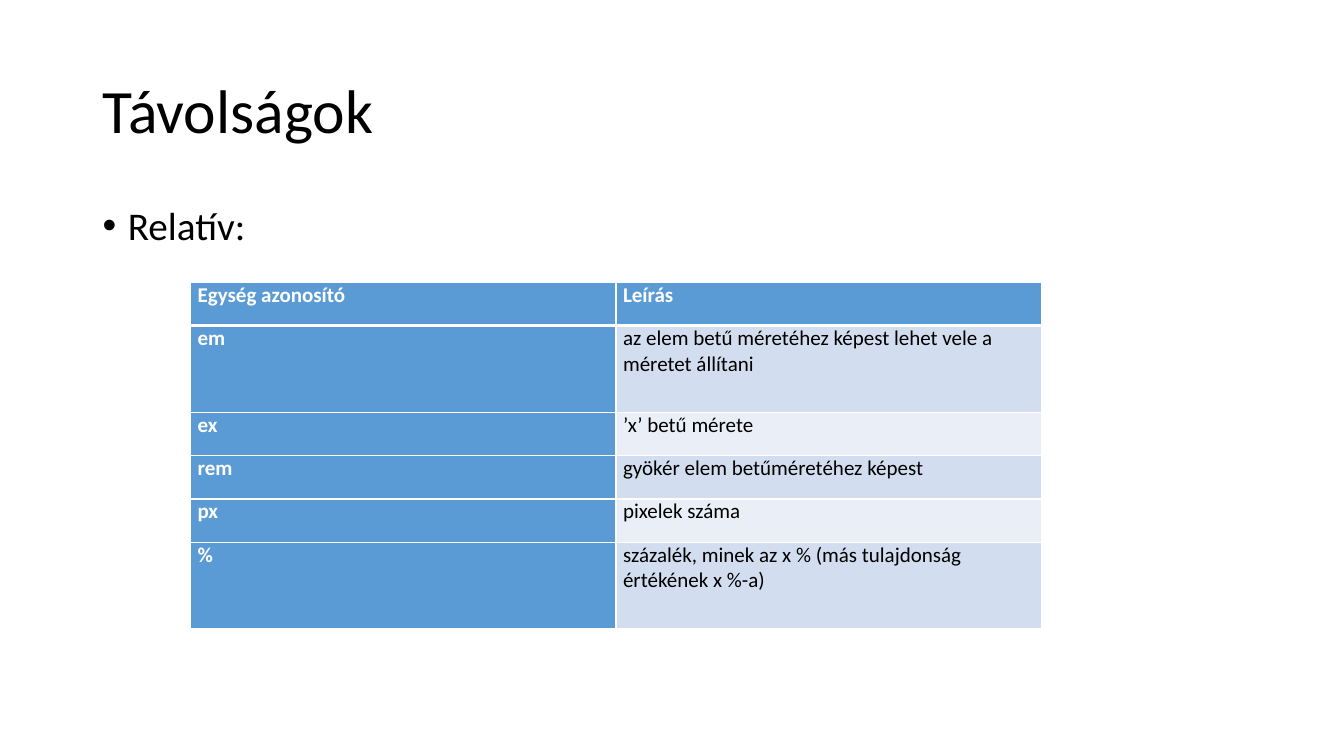
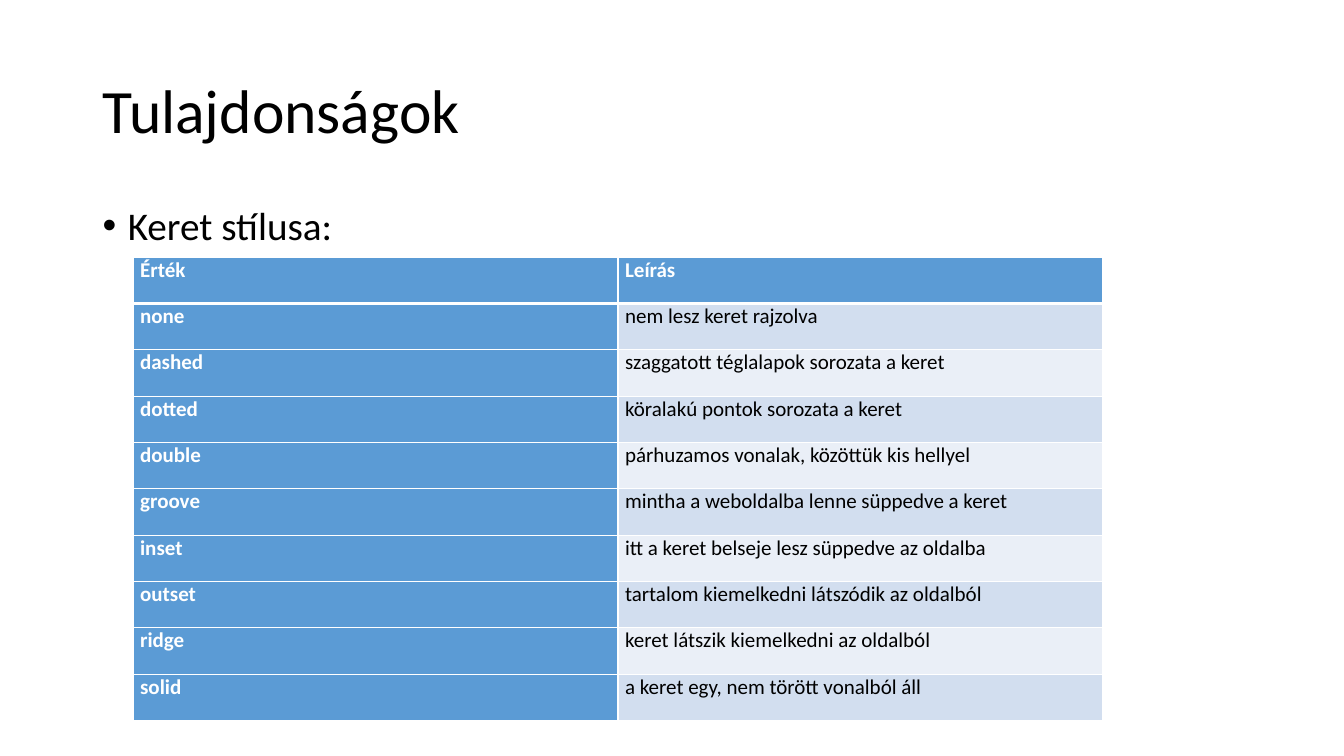
import dataclasses

import lxml.etree
import pptx
import pptx.dml.color
import pptx.enum.text
import pptx.oxml.ns
import pptx.util

Inches = pptx.util.Inches


@dataclasses.dataclass(frozen=True)
class Theme:
    font: str = "Calibri"
    ink: str = "000000"
    paper: str = "FFFFFF"
    accent: str = "5B9BD5"
    bands: tuple = ("D2DEEF", "EAEFF7")
    title_size: int = 44
    bullet_size: int = 28
    cell_size: int = 15
    thin_line: int = 1
    header_line: int = 3


THEME = Theme()
LEFT, CONTENT_WIDTH = 0.92, 11.5

UNITS = [
    ("Egység azonosító", "Leírás"),
    ("em", "az elem betű méretéhez képest lehet vele a méretet állítani"),
    ("ex", "’x’ betű mérete"),
    ("rem", "gyökér elem betűméretéhez képest"),
    ("px", "pixelek száma"),
    ("%", "százalék, minek az x % (más tulajdonság értékének x %-a)"),
]

BORDER_STYLES = [
    ("Érték", "Leírás"),
    ("none", "nem lesz keret rajzolva"),
    ("dashed", "szaggatott téglalapok sorozata a keret"),
    ("dotted", "köralakú pontok sorozata a keret"),
    ("double", "párhuzamos vonalak, közöttük kis hellyel"),
    ("groove", "mintha a weboldalba lenne süppedve a keret"),
    ("inset", "itt a keret belseje lesz süppedve az oldalba"),
    ("outset", "tartalom kiemelkedni látszódik az oldalból"),
    ("ridge", "keret látszik kiemelkedni az oldalból"),
    ("solid", "a keret egy, nem törött vonalból áll"),
]


def apply(target, formats):
    """Set each named attribute of the target."""
    for name, value in formats.items():
        setattr(target, name, value)


def add_xml(parent, tag, **attributes):
    """Append a DrawingML element."""
    return lxml.etree.SubElement(parent, pptx.oxml.ns.qn(tag), attributes)


def write(para, text, size, color, bold=False):
    span = para.add_run()
    span.text = text
    apply(span.font, {"name": THEME.font, "size": pptx.util.Pt(size), "bold": bold})
    span.font.color.rgb = pptx.dml.color.RGBColor.from_string(color)


def set_frame(frame, anchor):
    apply(frame, {
        "word_wrap": True,
        "auto_size": pptx.enum.text.MSO_AUTO_SIZE.NONE,
        "vertical_anchor": anchor,
    })


def set_title(page, text):
    box = page.shapes.title
    apply(box, {
        "left": Inches(LEFT), "top": Inches(0.4),
        "width": Inches(CONTENT_WIDTH), "height": Inches(1.45),
    })
    set_frame(box.text_frame, pptx.enum.text.MSO_ANCHOR.MIDDLE)
    para = box.text_frame.paragraphs[0]
    apply(para, {"alignment": pptx.enum.text.PP_ALIGN.LEFT, "line_spacing": 0.9})
    write(para, text, THEME.title_size, THEME.ink)


def add_bullet(page, text):
    box = page.shapes.add_textbox(
        Inches(LEFT), Inches(2), Inches(CONTENT_WIDTH), Inches(4.76))
    set_frame(box.text_frame, pptx.enum.text.MSO_ANCHOR.TOP)
    para = box.text_frame.paragraphs[0]
    apply(para, {"line_spacing": 0.9, "space_before": pptx.util.Pt(10)})
    write(para, text, THEME.bullet_size, THEME.ink)
    # Bullet and hanging indent
    settings = para._p.get_or_add_pPr()
    settings.set("marL", str(Inches(0.25)))
    settings.set("indent", str(Inches(-0.25)))
    add_xml(settings, "a:buFont", typeface="Arial")
    add_xml(settings, "a:buChar", char="•")


def set_borders(cell, row):
    widths = {
        "L": THEME.thin_line,
        "R": THEME.thin_line,
        "T": THEME.header_line if row == 1 else THEME.thin_line,
        "B": THEME.header_line if row == 0 else THEME.thin_line,
    }
    settings = cell._tc.get_or_add_tcPr()
    for side, width in widths.items():
        line = add_xml(settings, f"a:ln{side}", w=str(pptx.util.Pt(width)))
        add_xml(add_xml(line, "a:solidFill"), "a:srgbClr", val=THEME.paper)


def fill_cell(cell, row, column, text):
    heading = row == 0 or column == 0
    apply(cell, {
        "margin_left": Inches(0.07), "margin_right": Inches(0.07),
        "margin_top": 0, "margin_bottom": 0,
    })
    set_borders(cell, row)
    cell.fill.solid()
    color = THEME.accent if heading else THEME.bands[(row - 1) % 2]
    cell.fill.fore_color.rgb = pptx.dml.color.RGBColor.from_string(color)
    write(cell.text_frame.paragraphs[0], text, THEME.cell_size,
          THEME.paper if heading else THEME.ink, heading)


def add_table(page, rows, left, top, column_width, heights):
    columns = len(rows[0])
    table = page.shapes.add_table(
        len(rows), columns, Inches(left), Inches(top),
        Inches(column_width * columns), Inches(sum(heights))).table
    for column in table.columns:
        column.width = Inches(column_width)
    for row, (texts, height) in enumerate(zip(rows, heights)):
        table.rows[row].height = Inches(height)
        for column, text in enumerate(texts):
            fill_cell(table.cell(row, column), row, column, text)


def add_page(deck, title, bullet, rows, **placement):
    page = deck.slides.add_slide(deck.slide_layouts[5])
    set_title(page, title)
    add_bullet(page, bullet)
    add_table(page, rows, **placement)


def main():
    deck = pptx.Presentation()
    apply(deck, {"slide_width": Inches(13.33), "slide_height": Inches(7.5)})

    # Relative units: two rows hold two lines of text
    single, double = 0.43, 0.86
    add_page(deck, "Távolságok", "Relatív:", UNITS,
             left=1.89, top=2.8, column_width=4.22,
             heights=[single, double, single, single, single, double])

    # Border styles: equal rows
    add_page(deck, "Tulajdonságok", "Keret stílusa:", BORDER_STYLES,
             left=1.32, top=2.55, column_width=4.81,
             heights=[0.46] * len(BORDER_STYLES))

    deck.save("out.pptx")


if __name__ == "__main__":
    main()
